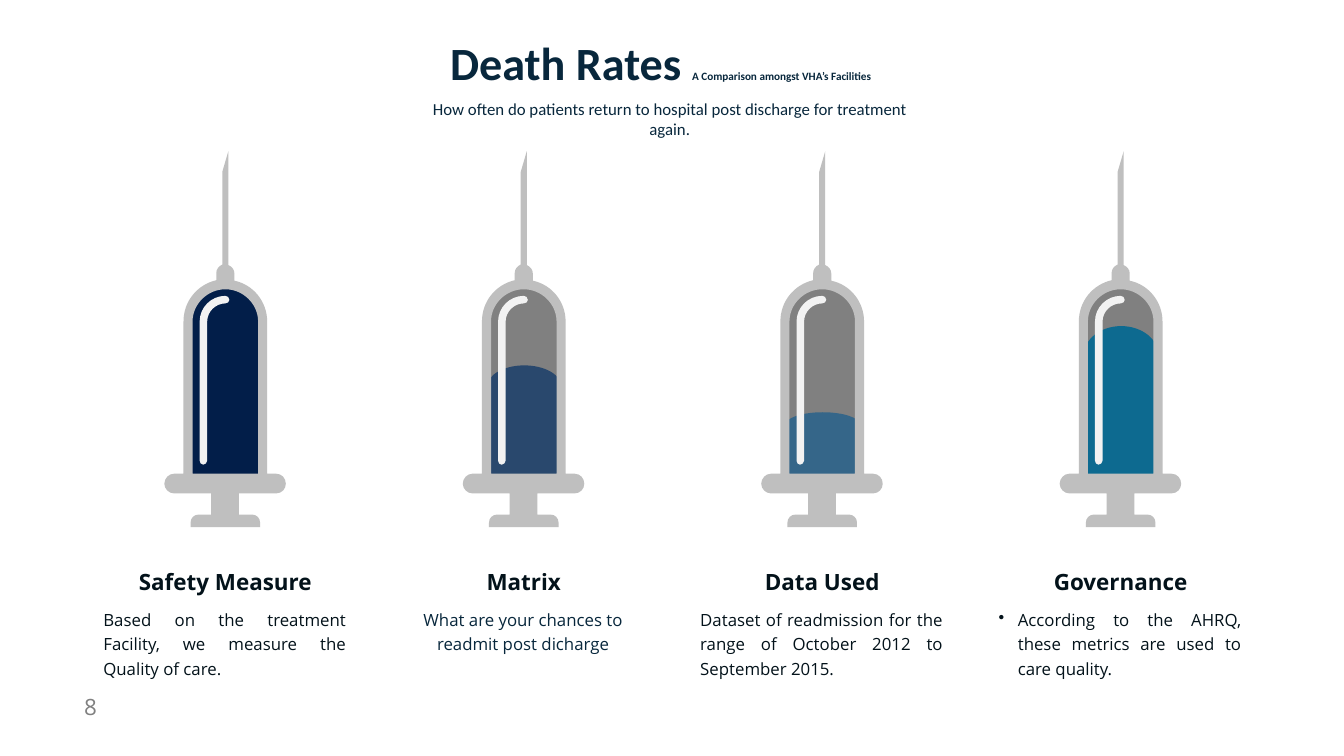
from typing import NamedTuple

from lxml.etree import SubElement
from pptx import Presentation
from pptx.dml.color import RGBColor
from pptx.enum.text import MSO_ANCHOR as Anchor, MSO_AUTO_SIZE as AutoSize, PP_ALIGN as Align
from pptx.oxml.ns import qn
from pptx.util import Emu, Pt

PX = 9144  # EMU in one px, 100 px to the inch
NAVY, INK, GREY, SILVER, SHINE = "08273C", "03121A", "808080", "BFBFBF", "F2F2F2"
FIRST_CENTRE, PITCH = 447, 592

# Contours: x from the syringe's centre line, y from the top of the slide.
# Two numbers are a corner; six numbers are a Bézier curve to the last two.
Contour = list[tuple[int, ...]]

SLEEVE: Contour = [
    (101, 940), (83, 940), (83, 638), (83, 599, 56, 565, 18, 557),
    (18, 543), (18, 535, 13, 529, 6, 526), (6, 300), (-6, 341), (-6, 525),
    (-13, 528, -18, 534, -18, 542), (-18, 556), (-56, 565, -83, 598, -83, 638),
    (-83, 940), (-102, 940), (-112, 940, -121, 949, -121, 960),
    (-121, 970, -112, 979, -102, 979), (-28, 979), (-28, 1021), (-53, 1021),
    (-62, 1021, -69, 1028, -69, 1037), (-69, 1046), (69, 1046), (69, 1037),
    (69, 1028, 62, 1021, 53, 1021), (27, 1021), (27, 979), (101, 979),
    (112, 979, 120, 970, 120, 960), (120, 949, 112, 940, 101, 940),
]
WINDOW: Contour = [
    (-65, 940), (-65, 638), (-65, 603, -35, 574, 0, 574),
    (35, 574, 65, 603, 65, 638), (65, 940),
]
HIGHLIGHT: Contour = [
    (-44, 922), (-48, 922, -51, 918, -51, 914), (-51, 638),
    (-51, 610, -28, 587, 0, 587), (4, 587, 8, 590, 8, 595),
    (8, 599, 4, 602, 0, 602), (-19, 602, -36, 618, -36, 638),
    (-36, 914), (-36, 918, -40, 922, -44, 922),
]


class Syringe(NamedTuple):
    heading: str
    detail: str
    liquid: str
    top: int
    shoulder: int
    chamber: str = GREY
    align: Align = Align.JUSTIFY
    color: str = INK
    bullet: bool = False


SYRINGES = [
    Syringe("Safety Measure", "Based on the treatment Facility, we measure the Quality of care.",
            "021E49", 564, 638, chamber=INK),
    Syringe("Matrix", "What are your chances to readmit post dicharge",
            "29486D", 725, 768, align=Align.CENTER, color=NAVY),
    Syringe("Data Used", "Dataset of readmission for the range of October 2012 to September 2015.",
            "356689", 818, 843),
    Syringe("Governance", "According to the AHRQ, these metrics are used to care quality.",
            "0D6A90", 647, 705, bullet=True),
]


def rgb(color: str) -> RGBColor:
    return RGBColor.from_string(color)


def set_font(font, name: str, size: int, color: str, bold: bool = False) -> None:
    font.name, font.size, font.bold = name, Pt(size), bold
    font.color.rgb = rgb(color)


def place(box, left: int, top: int, width: int, height: int) -> None:
    box.left, box.top = Emu(left * PX), Emu(top * PX)
    box.width, box.height = Emu(width * PX), Emu(height * PX)


def add_text(page, left: int, top: int, width: int, height: int, text: str,
             align: Align = Align.CENTER, wrap: bool = False):
    """Add a one-paragraph text box and return its frame and paragraph."""
    box = page.shapes.add_textbox(0, 0, 0, 0)
    place(box, left, top, width, height)
    frame = box.text_frame
    frame.word_wrap = wrap
    para = frame.paragraphs[0]
    para.text, para.alignment = text, align
    return frame, para


def add_bullet(para, indent: int) -> None:
    properties = para._p.get_or_add_pPr()
    properties.set("marL", str(indent * PX))
    properties.set("indent", str(-indent * PX))
    SubElement(properties, qn("a:buChar")).set("char", "•")


def bend_segments(shape, steps: Contour) -> None:
    """Turn the straight segments of curved steps into Bézier segments."""
    left = min(step[-2] for step in steps)
    top = min(step[-1] for step in steps)
    segments = list(shape._element.iter(qn("a:moveTo"), qn("a:lnTo")))
    for segment, step in zip(segments, steps):
        if len(step) == 2:
            continue
        segment.tag = qn("a:cubicBezTo")
        segment.remove(segment[0])
        for x, y in zip(step[::2], step[1::2]):
            point = SubElement(segment, qn("a:pt"))
            point.set("x", str(x - left))
            point.set("y", str(y - top))


def add_outline(page, centre: int, color: str, *contours: Contour) -> None:
    first, *others = [[step[-2:] for step in contour] for contour in contours]
    builder = page.shapes.build_freeform(*first[0], scale=PX)
    builder.add_line_segments(first[1:], close=True)
    for points in others:
        builder.move_to(*points[0])
        builder.add_line_segments(points[1:], close=True)
    shape = builder.convert_to_shape(centre * PX, 0)
    bend_segments(shape, sum(contours, []))
    shape.shadow.inherit = False
    shape.fill.solid()
    shape.fill.fore_color.rgb = rgb(color)
    shape.line.fill.background()


def dome(top: int, shoulder: int) -> Contour:
    """A column of liquid with a rounded top."""
    bend = round(shoulder - 0.55 * (shoulder - top))
    return [(74, 945), (74, shoulder), (74, bend, 41, top, 0, top),
            (-41, top, -74, bend, -74, shoulder), (-74, 945)]


def add_syringe(page, centre: int, syringe: Syringe) -> None:
    add_outline(page, centre, syringe.chamber, dome(564, 638))
    add_outline(page, centre + 1, syringe.liquid, dome(syringe.top, syringe.shoulder))
    add_outline(page, centre, SHINE, HIGHLIGHT)
    add_outline(page, centre, SILVER, SLEEVE, WINDOW)


def add_caption(page, centre: int, syringe: Syringe) -> None:
    frame, para = add_text(page, centre - 183, 1121, 366, 64, syringe.heading)
    frame.vertical_anchor = Anchor.MIDDLE
    set_font(para.font, "Open Sans", 32, INK, bold=True)

    frame, para = add_text(page, centre - 266, 1189, 529, 168, syringe.detail,
                           syringe.align, wrap=True)
    frame.margin_left = frame.margin_right = Emu(24 * PX)
    frame.margin_top = frame.margin_bottom = Emu(12 * PX)
    if syringe.bullet:
        add_bullet(para, 38)
    para.line_spacing = Pt(35)
    set_font(para.font, "Open Sans", 24, syringe.color)


def add_title(page) -> None:
    title = page.shapes.title
    place(title, 165, 64, 2291, 121)
    frame = title.text_frame
    frame.auto_size, frame.vertical_anchor = AutoSize.NONE, Anchor.TOP
    para = frame.paragraphs[0]
    para.alignment = Align.CENTER
    for text, size in (("Death Rates ", 66), ("A Comparison amongst VHA’s Facilities", 16)):
        span = para.add_run()
        span.text = text
        set_font(span.font, "Calibri", size, NAVY, bold=True)


def main() -> None:
    deck = Presentation()
    deck.slide_width, deck.slide_height = Emu(2666 * PX), Emu(1500 * PX)
    page = deck.slides.add_slide(deck.slide_layouts[5])

    # Title, subtitle and page number
    add_title(page)
    _, para = add_text(page, 805, 190, 1047, 50,
                       "How often do patients return to hospital post discharge for treatment again.")
    set_font(para.font, "Calibri", 24, NAVY)
    _, para = add_text(page, 157, 1370, 85, 64, "8", Align.LEFT)
    set_font(para.font, "Open Sans", 32, GREY)

    # Four syringes with their captions
    for column, syringe in enumerate(SYRINGES):
        centre = FIRST_CENTRE + column * PITCH
        add_syringe(page, centre, syringe)
        add_caption(page, centre, syringe)

    deck.save("out.pptx")


if __name__ == "__main__":
    main()
